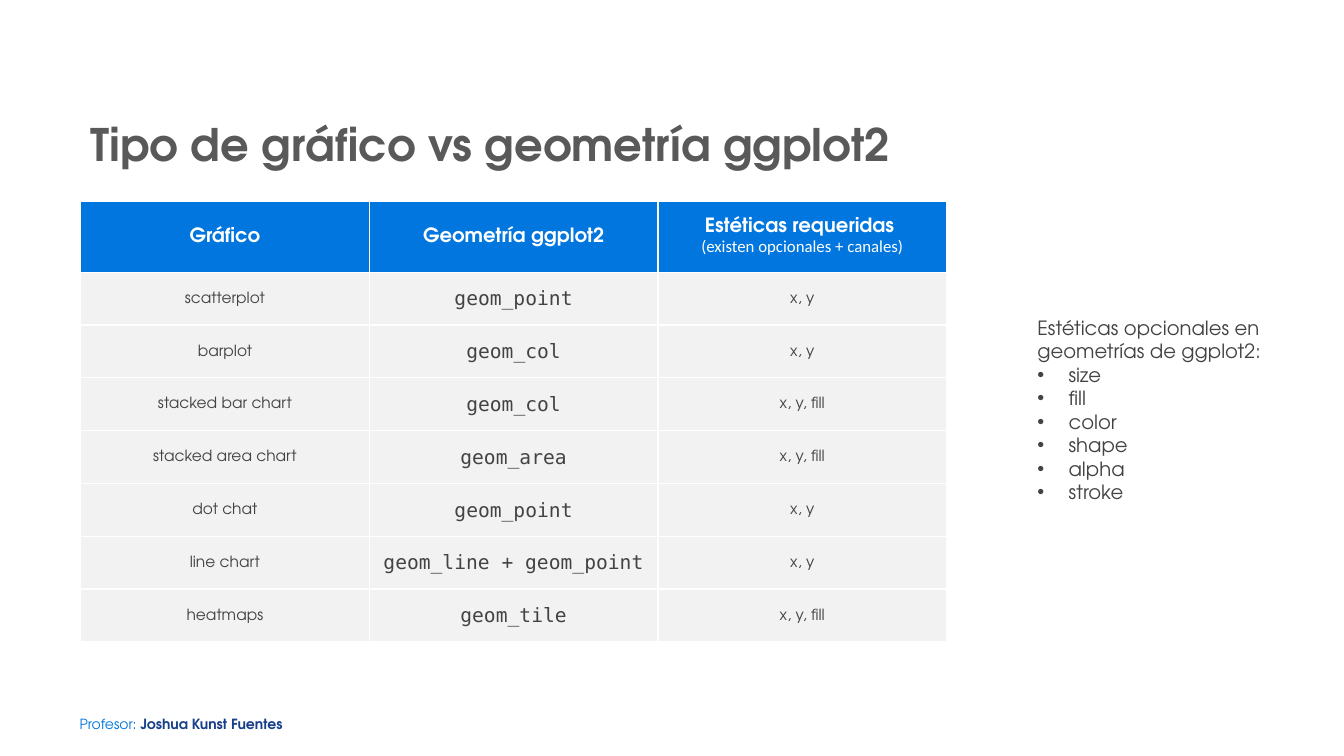
from lxml import etree
from pptx import Presentation
from pptx.dml.color import RGBColor
from pptx.enum.text import MSO_ANCHOR, MSO_AUTO_SIZE, PP_ALIGN
from pptx.oxml.ns import qn
from pptx.util import Inches, Pt

MIDDLE = MSO_ANCHOR.MIDDLE
GROW = MSO_AUTO_SIZE.SHAPE_TO_FIT_TEXT
CENTER = PP_ALIGN.CENTER

BLUE = RGBColor(0x01, 0x76, 0xDE)
NAVY = RGBColor(0x17, 0x3F, 0x8A)
GRAY = RGBColor(0x59, 0x59, 0x59)
DARK = RGBColor(0x43, 0x43, 0x43)
PALE = RGBColor(0xF2, 0xF2, 0xF2)
WHITE = RGBColor(0xFF, 0xFF, 0xFF)

SANS = "TeX Gyre Adventor"
MONO = "DejaVu Sans Mono"
BODY = "Calibri"

HEADS = ["Gráfico", "Geometría ggplot2",
         "Estéticas requeridas \n(existen opcionales + canales)"]
ROWS = [
    ("scatterplot", "geom_point", "x, y"),
    ("barplot", "geom_col", "x, y"),
    ("stacked bar chart", "geom_col", "x, y, fill"),
    ("stacked area chart", "geom_area", "x, y, fill"),
    ("dot chat", "geom_point", "x, y"),
    ("line chart", "geom_line + geom_point", "x, y"),
    ("heatmaps", "geom_tile", "x, y, fill"),
]
OPTIONS = ["size", "fill", "color", "shape", "alpha", "stroke"]


def style(font, size, color, bold=False, name=SANS):
    font.name = name
    font.size = Pt(size)
    font.bold = bold
    font.color.rgb = color


def add_box(slide, left, top, width, height):
    box = slide.shapes.add_textbox(
        Inches(left), Inches(top), Inches(width), Inches(height))
    frame = box.text_frame
    frame.word_wrap = True
    frame.auto_size = GROW
    return frame


def add_title(slide, left, top, width, height):
    frame = add_box(slide, left, top, width, height)
    frame.vertical_anchor = MIDDLE
    frame.text = "Tipo de gráfico vs geometría ggplot2"
    line = frame.paragraphs[0]
    line.line_spacing = 2.0
    style(line.runs[0].font, 32, GRAY, True)


def add_footer(slide, left, top, width, height):
    frame = add_box(slide, left, top, width, height)
    frame.margin_left = frame.margin_right = 0
    frame.margin_top = frame.margin_bottom = 0
    line = frame.paragraphs[0]
    line.line_spacing = Pt(22)
    for text, color, bold in [("Profesor: ", BLUE, False),
                              ("Joshua Kunst Fuentes", NAVY, True)]:
        run = line.add_run()
        run.text = text
        style(run.font, 10, color, bold)


def add_border(cell):
    props = cell._tc.get_or_add_tcPr()
    for side in ("a:lnL", "a:lnR", "a:lnT", "a:lnB"):
        edge = etree.SubElement(props, qn(side), w=str(Pt(1)))
        fill = etree.SubElement(edge, qn("a:solidFill"))
        etree.SubElement(fill, qn("a:srgbClr"), val=str(WHITE))


def fill_cell(cell, text, color, fonts):
    add_border(cell)
    cell.fill.solid()
    cell.fill.fore_color.rgb = color
    cell.vertical_anchor = MIDDLE
    cell.margin_left = cell.margin_right = cell.margin_top = Inches(0.01)
    cell.margin_bottom = 0
    cell.text_frame.text = text
    for line, font in zip(cell.text_frame.paragraphs, fonts):
        line.alignment = CENTER
        style(line.runs[0].font, *font)


def add_grid(slide, left, top, width, height):
    head = 0.7
    grid = slide.shapes.add_table(
        len(ROWS) + 1, len(HEADS), Inches(left), Inches(top),
        Inches(width), Inches(height)).table
    grid.horz_banding = False
    for col in grid.columns:
        col.width = Inches(width / len(HEADS))
    for row in grid.rows:
        row.height = Inches((height - head) / len(ROWS))
    grid.rows[0].height = Inches(head)

    top_fonts = [(14, WHITE, True), (12, WHITE, False, BODY)]
    plain = (11, DARK)
    code = (14, DARK, False, MONO)
    for c, text in enumerate(HEADS):
        fill_cell(grid.cell(0, c), text, BLUE, top_fonts)
    for r, row in enumerate(ROWS, 1):
        for c, (text, font) in enumerate(zip(row, (plain, code, plain))):
            fill_cell(grid.cell(r, c), text, PALE, [font])


def add_bullet(line):
    props = line._p.get_or_add_pPr()
    indent = Inches(0.31)
    props.set("marL", str(indent))
    props.set("indent", str(-indent))
    etree.SubElement(props, qn("a:buFont"), typeface="Arial")
    etree.SubElement(props, qn("a:buChar"), char="•")


def add_options(slide, left, top, width, height):
    frame = add_box(slide, left, top, width, height)
    lead = "Estéticas opcionales en geometrías de ggplot2:"
    frame.text = "\n".join([lead] + OPTIONS)
    for i, line in enumerate(frame.paragraphs):
        if i:
            add_bullet(line)
        style(line.runs[0].font, 14, DARK)


def main():
    deck = Presentation()
    deck.slide_width = Inches(13.33)
    deck.slide_height = Inches(7.5)
    slide = deck.slides.add_slide(deck.slide_layouts[6])
    add_footer(slide, 0.79, 6.96, 2.19, 0.26)
    add_title(slide, 0.8, 0.65, 9.3, 1.01)
    add_grid(slide, 0.8, 2, 8.59, 4.37)
    add_options(slide, 10.19, 3.08, 2.89, 1.99)
    deck.save("out.pptx")


if __name__ == "__main__":
    main()
